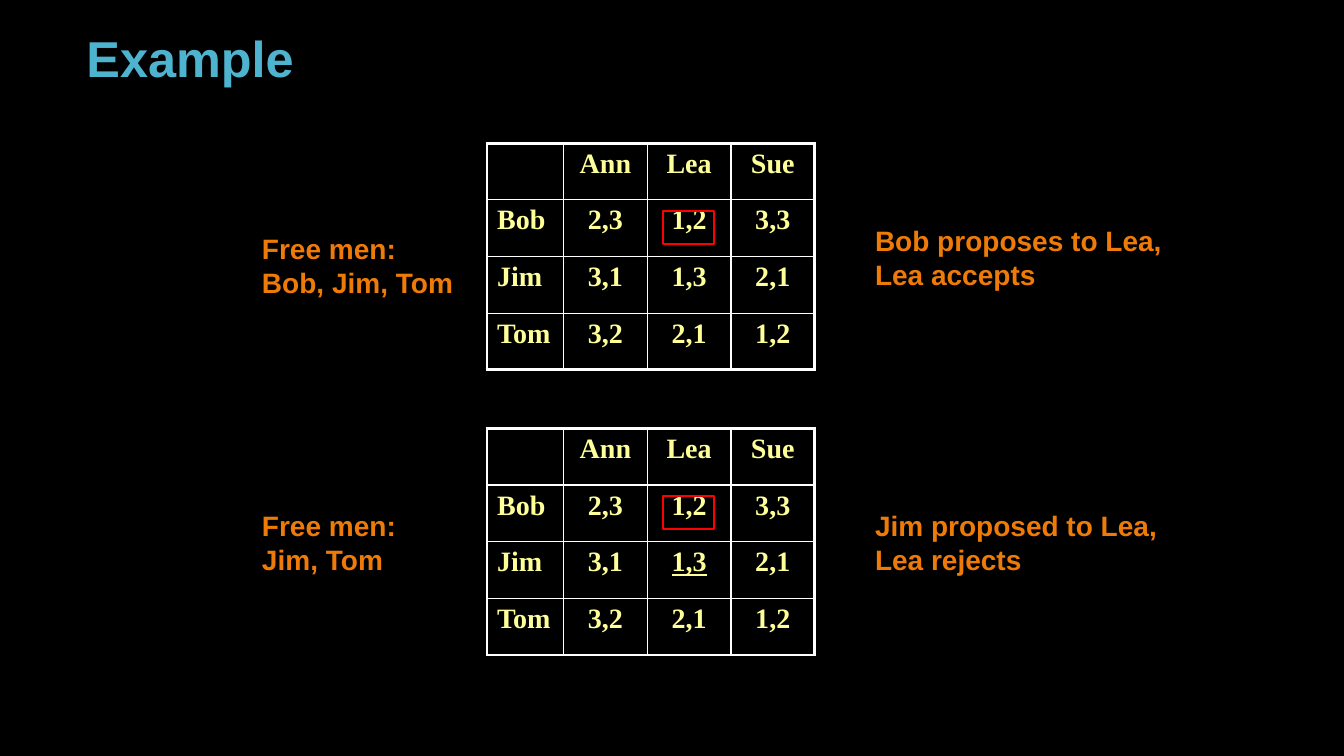
from lxml import etree
from pptx import Presentation
from pptx.dml.color import RGBColor
from pptx.enum.shapes import MSO_SHAPE
from pptx.enum.text import MSO_ANCHOR, PP_ALIGN
from pptx.oxml.ns import qn
from pptx.util import Inches, Pt

NAME_WIDTH, CELL_WIDTH, ROW_HEIGHT = 0.76, 0.83, 0.5625
TABLE_LEFT, TABLE_WIDTH = 4.83, 3.25
THIN, THICK = 1, 2.25
PREFERENCES = [
    ["", "Ann", "Lea", "Sue"],
    ["Bob", "2,3", "1,2", "3,3"],
    ["Jim", "3,1", "1,3", "2,1"],
    ["Tom", "3,2", "2,1", "1,2"],
]
LAST = len(PREFERENCES) - 1


def color(value):
    return RGBColor.from_string(value)


def style(para, font, size, value):
    for span in para.runs:
        span.font.name = font
        span.font.size = Pt(size)
        span.font.bold = True
        span.font.color.rgb = color(value)


def add_text(page, box, text, size, value, anchor=MSO_ANCHOR.TOP, spacing=1.0):
    frame = page.shapes.add_textbox(*map(Inches, box)).text_frame
    frame.word_wrap = True
    frame.vertical_anchor = anchor
    para = frame.paragraphs[0]
    para.text = text
    para.line_spacing = spacing
    style(para, "Arial", size, value)


def set_borders(cell, widths):
    """Draw white edges; widths maps L, R, T and B to points."""
    properties = cell._tc.get_or_add_tcPr()
    for side, width in widths.items():
        line = etree.SubElement(properties, qn(f"a:ln{side}"), w=str(Pt(width)))
        fill = etree.SubElement(line, qn("a:solidFill"))
        etree.SubElement(fill, qn("a:srgbClr"), val="FFFFFF")


def add_preferences(page, left, top, underlined):
    """Add the preference table; underlined is the (row, column) of a rejected offer."""
    size = len(PREFERENCES)
    table = page.shapes.add_table(
        size, size, Inches(left), Inches(top),
        Inches(TABLE_WIDTH), Inches(size * ROW_HEIGHT)).table
    table.first_row = table.horz_banding = False
    for index in range(size):
        table.columns[index].width = Inches(CELL_WIDTH if index else NAME_WIDTH)
        table.rows[index].height = Inches(ROW_HEIGHT)
    for row, values in enumerate(PREFERENCES):
        for column, value in enumerate(values):
            cell = table.cell(row, column)
            set_borders(cell, {
                "L": THIN if column else THICK,
                "R": THICK if column == LAST else THIN,
                "T": THIN if row else THICK,
                "B": THICK if row == LAST else THIN,
            })
            cell.fill.background()
            para = cell.text_frame.paragraphs[0]
            para.text = value
            para.alignment = PP_ALIGN.CENTER if column else PP_ALIGN.LEFT
            style(para, "Times New Roman", 20, "FFFF99")
            if (row, column) == underlined:
                para.runs[0].font.underline = True


def add_engagement_mark(page, left, top):
    mark = page.shapes.add_shape(
        MSO_SHAPE.RECTANGLE, *map(Inches, (left, top, 0.5, 0.33)))
    mark.shadow.inherit = False
    mark.fill.background()
    mark.line.color.rgb = color("FF0000")
    mark.line.width = Pt(1.5)


def add_step(page, top, free_men, outcome, free_drop=0.75, underlined=None):
    """Add one step: free men, preference table with its mark, and outcome."""
    add_text(page, (2.5, top + free_drop, 2.25, 0.77), free_men, 20, "EE7B08")
    add_preferences(page, TABLE_LEFT, top, underlined)
    add_text(page, (8.58, top + 0.75, 3.12, 0.77), outcome, 20, "EE7B08")
    add_engagement_mark(page, TABLE_LEFT + 1.75, top + 0.67)


def main():
    deck = Presentation()
    deck.slide_width, deck.slide_height = Inches(13.33), Inches(7.5)
    page = deck.slides.add_slide(deck.slide_layouts[6])
    page.background.fill.solid()
    page.background.fill.fore_color.rgb = color("000000")
    add_text(page, (0.76, 0.18, 11.06, 0.75), "Example", 36, "4EB3CF",
             MSO_ANCHOR.BOTTOM, 0.9)
    add_step(page, 1.42, "Free men:\vBob, Jim, Tom",
             "Bob proposes to Lea,\vLea accepts", free_drop=0.83)
    add_step(page, 4.25, "Free men:\vJim, Tom",
             "Jim proposed to Lea,\vLea rejects", underlined=(2, 2))
    deck.save("out.pptx")


if __name__ == "__main__":
    main()
